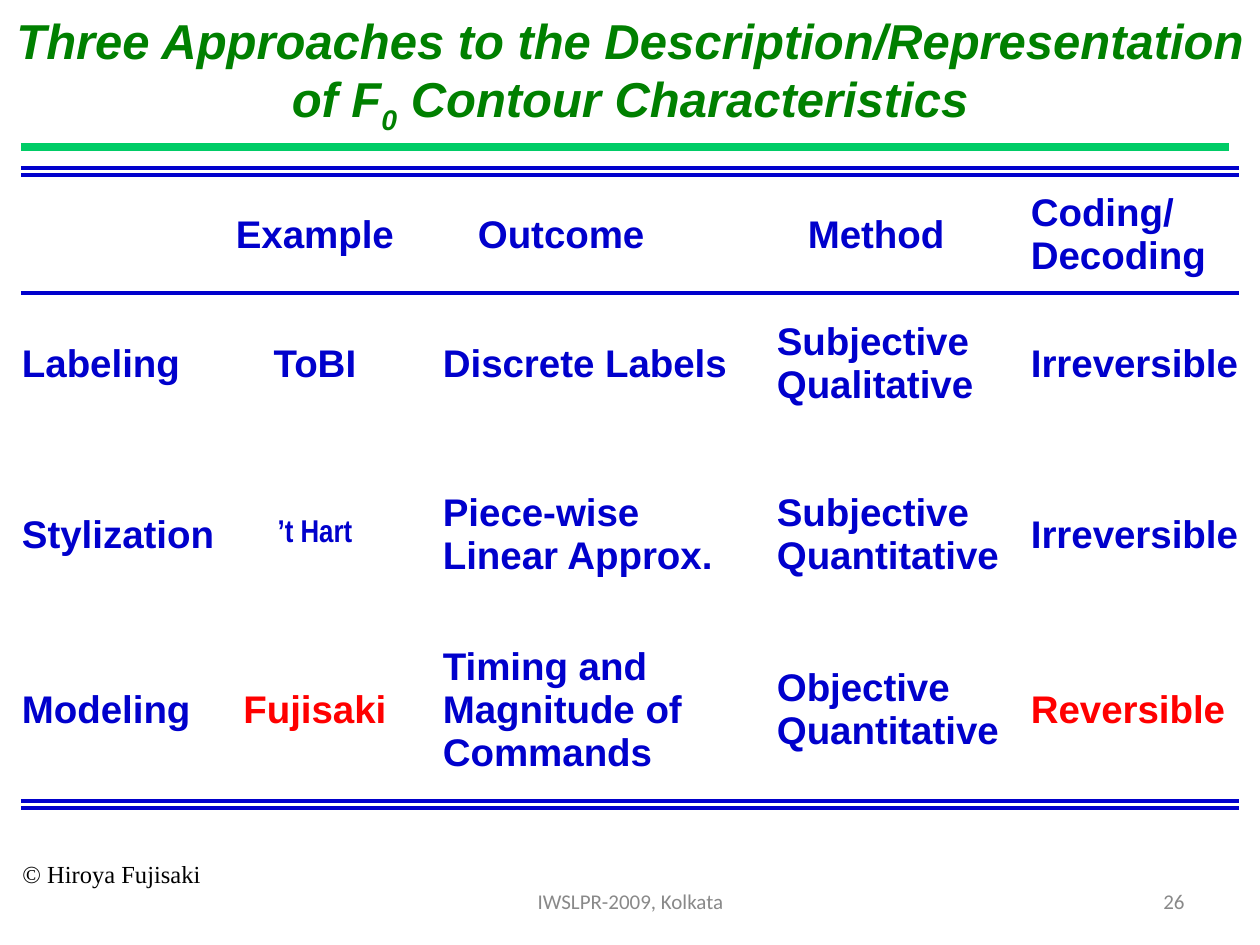
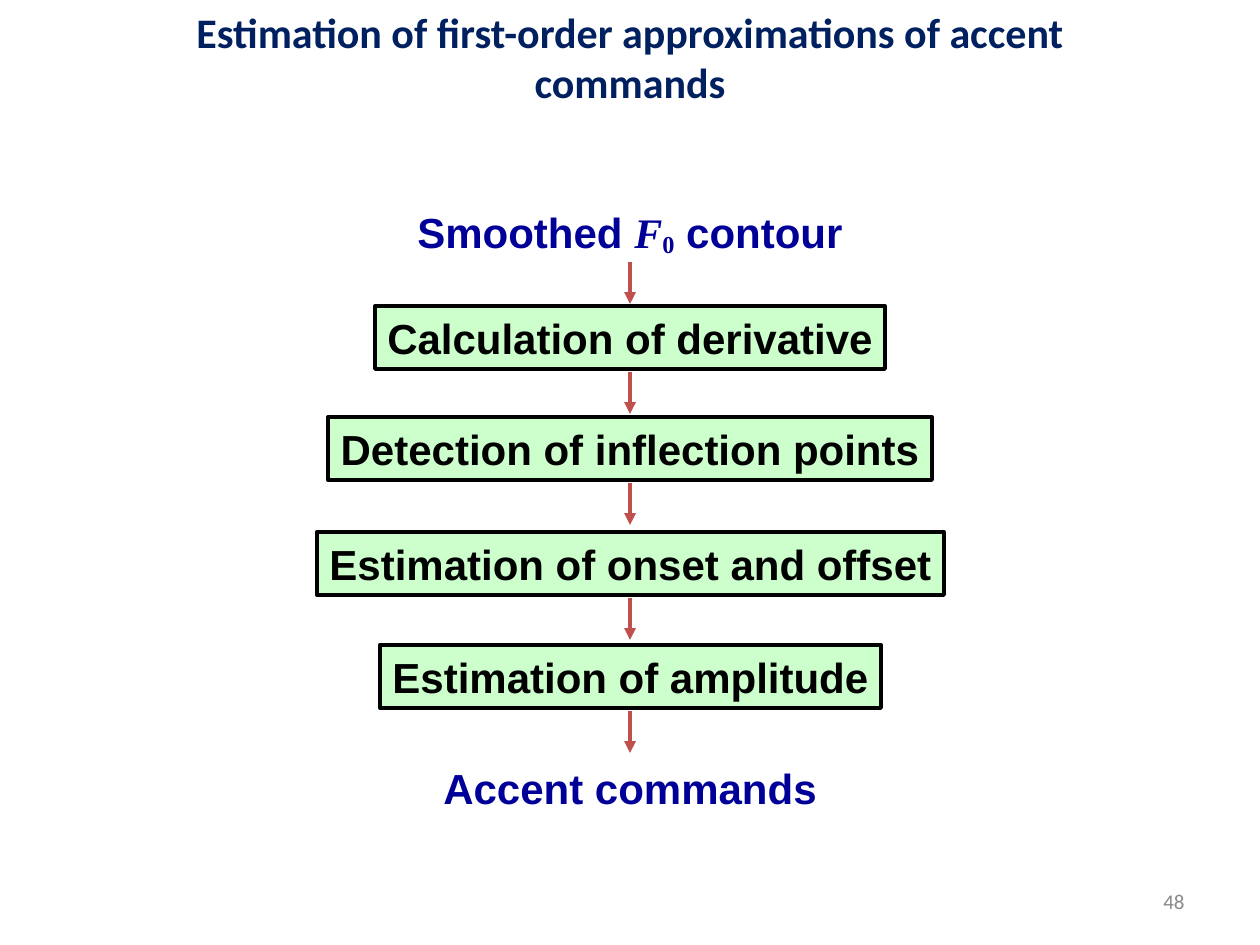
from dataclasses import dataclass, replace

from lxml.etree import SubElement
from pptx import Presentation
from pptx.dml.color import RGBColor
from pptx.enum.shapes import MSO_CONNECTOR, MSO_SHAPE
from pptx.enum.text import MSO_ANCHOR, PP_ALIGN
from pptx.oxml.ns import qn
from pptx.util import Pt

EMU_PER_PX = 914400 / 126
SLIDE_W, SLIDE_H = 1260, 945
CENTRE_X = SLIDE_W // 2


@dataclass(frozen=True)
class Style:
    font: str
    size: int
    color: str
    bold: bool = False
    italic: bool = False
    baseline: int = 0


class Theme:
    blue, red, green = "0000CC", "FF0000", "00CC66"
    arrow, step_fill, step_line = "C0504D", "CCFFCC", "000000"
    contour_title = Style("Arial", 28, "008000", bold=True, italic=True)
    flow_title = Style("Calibri", 24, "002060", bold=True)
    cell = Style("Arial", 22, blue, bold=True)
    key_cell = replace(cell, color=red)
    narrow_cell = replace(cell, font="Arial Narrow", size=18)
    step = Style("Arial", 24, "000000", bold=True)
    flow_end = replace(step, color="000099")
    symbol = replace(flow_end, font="Times New Roman", italic=True)
    footer = Style("Calibri", 12, "898989")
    copyright = Style("Times New Roman", 14, "000000")


def px(length):
    return round(length * EMU_PER_PX)


def rgb(color):
    return RGBColor.from_string(color)


# Text

def style_run(run, style):
    font = run.font
    font.name, font.size = style.font, Pt(style.size)
    font.bold, font.italic = style.bold, style.italic
    font.color.rgb = rgb(style.color)
    if style.baseline:
        run._r.get_or_add_rPr().set("baseline", str(style.baseline * 1000))


def write(frame, text, style, align=PP_ALIGN.CENTER):
    frame.text = text
    for paragraph in frame.paragraphs:
        paragraph.alignment = align
        for run in paragraph.runs:
            style_run(run, style)


def append(frame, text, style):
    run = frame.paragraphs[0].add_run()
    run.text = text
    style_run(run, style)


def add_label(slide, box, text, style, align=PP_ALIGN.CENTER, anchor=MSO_ANCHOR.TOP):
    frame = slide.shapes.add_textbox(*map(px, box)).text_frame
    frame.word_wrap = True
    frame.vertical_anchor = anchor
    write(frame, text, style, align)
    return frame


def add_title(slide, box, text, style, anchor):
    title = slide.shapes.title
    title.left, title.top, title.width, title.height = map(px, box)
    frame = title.text_frame
    frame.vertical_anchor = anchor
    write(frame, text, style)
    return frame


def add_page_number(slide, number):
    add_label(slide, (903, 876, 294, 50), str(number), Theme.footer,
              PP_ALIGN.RIGHT, MSO_ANCHOR.MIDDLE)


# Lines and boxes

def add_line(slide, start, end, color, width):
    line = slide.shapes.add_connector(MSO_CONNECTOR.STRAIGHT, *map(px, start + end))
    line.line.color.rgb = rgb(color)
    line.line.width = Pt(width)
    SubElement(line._element.spPr, qn("a:effectLst"))
    return line


def add_arrow_down(slide, top, length=42):
    arrow = add_line(slide, (CENTRE_X, top), (CENTRE_X, top + length), Theme.arrow, 2.25)
    SubElement(arrow.line._get_or_add_ln(), qn("a:tailEnd"), type="triangle")


def add_step(slide, top, width, height, text):
    step = slide.shapes.add_shape(
        MSO_SHAPE.RECTANGLE, *map(px, (CENTRE_X - width // 2, top, width, height)))
    step.shadow.inherit = False
    step.fill.solid()
    step.fill.fore_color.rgb = rgb(Theme.step_fill)
    step.line.color.rgb = rgb(Theme.step_line)
    step.line.width = Pt(2.25)
    step.text_frame.word_wrap = False
    write(step.text_frame, text, Theme.step)


# Table of approaches

APPROACHES = [
    ["", "Example", "Outcome", "Method", "Coding/\nDecoding"],
    ["Labeling", "ToBI", "Discrete Labels", "Subjective\nQualitative", "Irreversible"],
    ["Stylization", "’t Hart", "Piece-wise\nLinear Approx.",
     "Subjective\nQuantitative", "Irreversible"],
    ["Modeling", "Fujisaki", "Timing and\nMagnitude of\nCommands",
     "Objective\nQuantitative", "Reversible"],
]
COLUMN_EDGES = [22, 215, 415, 777, 1031, 1250]
ROW_EDGES = [177, 293, 435, 635, 785]
SPECIAL_CELLS = {"’t Hart": Theme.narrow_cell, "Fujisaki": Theme.key_cell,
                 "Reversible": Theme.key_cell}
OUTCOME_INDENT = 28
HEADER_INDENTS = {"Outcome": 63, "Method": 31}


def add_approach_table(slide):
    left, top = COLUMN_EDGES[0], ROW_EDGES[0]
    table = slide.shapes.add_table(
        len(APPROACHES), len(APPROACHES[0]),
        *map(px, (left, top, COLUMN_EDGES[-1] - left, ROW_EDGES[-1] - top))).table
    table.first_row = table.horz_banding = False
    for column, start, end in zip(table.columns, COLUMN_EDGES, COLUMN_EDGES[1:]):
        column.width = px(end - start)
    for row, start, end in zip(table.rows, ROW_EDGES, ROW_EDGES[1:]):
        row.height = px(end - start)
    for row, entries in zip(table.rows, APPROACHES):
        for heading, cell, entry in zip(APPROACHES[0], row.cells, entries):
            indent = OUTCOME_INDENT if heading == "Outcome" else 0
            cell.fill.background()
            cell.vertical_anchor = MSO_ANCHOR.MIDDLE
            cell.margin_left = px(HEADER_INDENTS.get(entry, indent))
            cell.margin_right = cell.margin_top = cell.margin_bottom = 0
            write(cell.text_frame, entry, SPECIAL_CELLS.get(entry, Theme.cell),
                  PP_ALIGN.CENTER if heading == "Example" else PP_ALIGN.LEFT)


def build_approaches(slide):
    style = Theme.contour_title
    title = add_title(slide, (0, 10, SLIDE_W, 126),
                      "Three Approaches to the Description/Representation of F",
                      style, MSO_ANCHOR.MIDDLE)
    append(title, "0", replace(style, baseline=-25))
    append(title, " Contour Characteristics", style)

    add_line(slide, (21, 147), (1229, 147), Theme.green, 4.5)
    add_approach_table(slide)
    for y in (168, 175, 293, 801, 808):
        add_line(slide, (21, y), (1239, y), Theme.blue, 2.13)

    add_label(slide, (10, 853, 223, 50), "© Hiroya Fujisaki", Theme.copyright,
              PP_ALIGN.LEFT)
    add_label(slide, (431, 876, 399, 50), "IWSLPR-2009, Kolkata", Theme.footer,
              anchor=MSO_ANCHOR.MIDDLE)
    add_page_number(slide, 26)


# Flow from contour to accent commands

STEP_HEIGHT = 63
ARROW_GAP = 3
STEPS = [
    (306, 510, "Calculation of derivative"),
    (417, 604, "Detection of inflection points"),
    (532, 627, "Estimation of onset and offset"),
    (645, 501, "Estimation of amplitude"),
]


def build_accent_flow(slide):
    add_title(slide, (0, 0, SLIDE_W, 105),
              "Estimation of first-order approximations of accent\vcommands",
              Theme.flow_title, MSO_ANCHOR.TOP)

    contour = add_label(slide, (380, 200, 500, 59), "Smoothed ", Theme.flow_end)
    append(contour, "F", Theme.symbol)
    append(contour, "0", replace(Theme.symbol, italic=False, baseline=-12))
    append(contour, " contour", Theme.flow_end)
    add_arrow_down(slide, 259 + ARROW_GAP)

    for top, width, text in STEPS:
        add_step(slide, top, width, STEP_HEIGHT, text)
        add_arrow_down(slide, top + STEP_HEIGHT + ARROW_GAP)

    add_label(slide, (380, 756, 500, STEP_HEIGHT), "Accent commands", Theme.flow_end)
    add_page_number(slide, 48)


def main():
    presentation = Presentation()
    presentation.slide_width, presentation.slide_height = px(SLIDE_W), px(SLIDE_H)
    title_only = presentation.slide_layouts[5]
    for build in (build_approaches, build_accent_flow):
        build(presentation.slides.add_slide(title_only))
    presentation.save("out.pptx")


if __name__ == "__main__":
    main()
